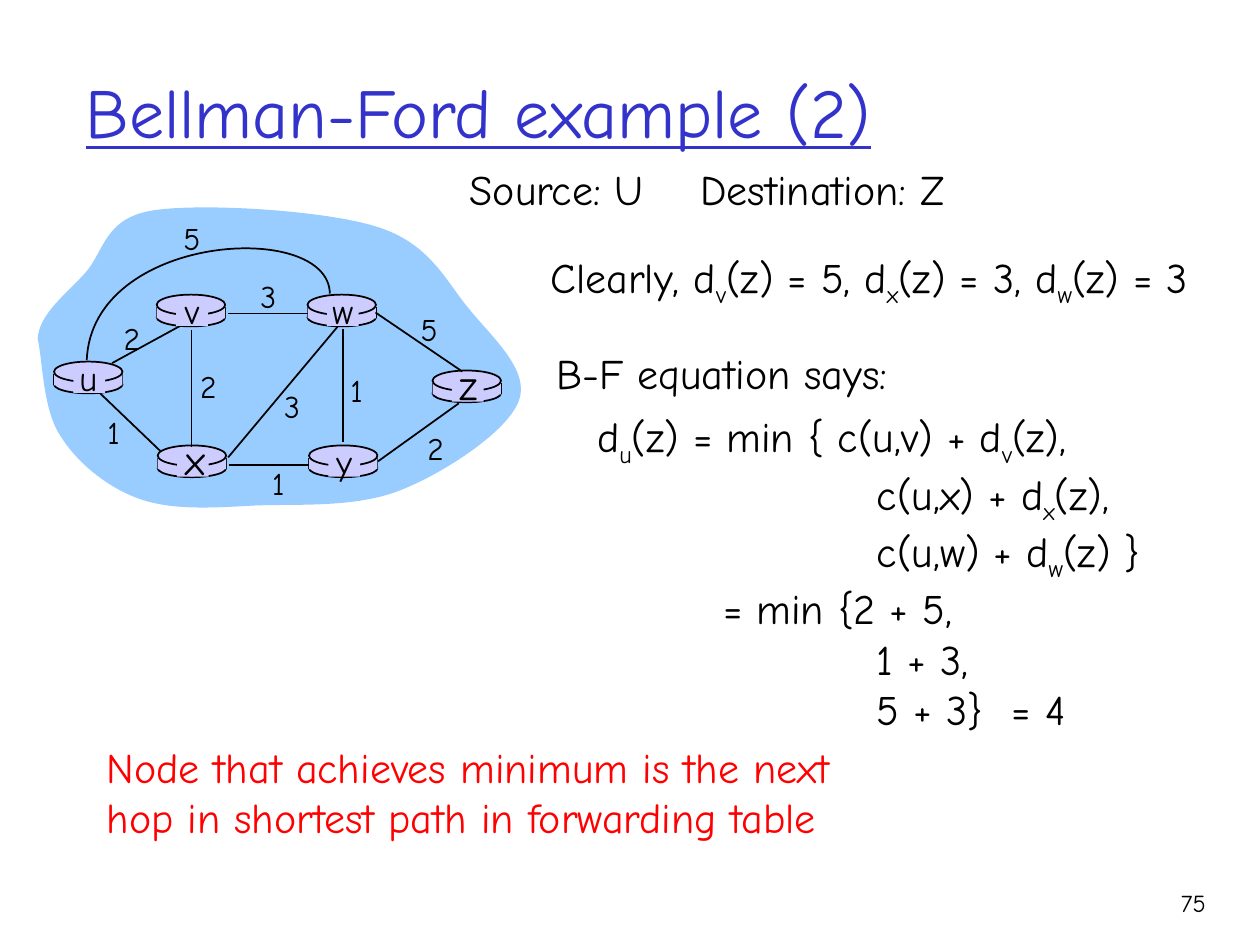
from lxml import etree
from pptx import Presentation
from pptx.dml.color import RGBColor
from pptx.enum.shapes import MSO_CONNECTOR, MSO_SHAPE
from pptx.enum.text import MSO_ANCHOR, MSO_AUTO_SIZE, PP_ALIGN
from pptx.oxml.ns import qn
from pptx.util import Cm, Pt

LEFT, CENTER, RIGHT = PP_ALIGN.LEFT, PP_ALIGN.CENTER, PP_ALIGN.RIGHT
TOP, MIDDLE = MSO_ANCHOR.TOP, MSO_ANCHOR.MIDDLE
GROW, FIXED = MSO_AUTO_SIZE.SHAPE_TO_FIT_TEXT, MSO_AUTO_SIZE.NONE
ELLIPSE, RECT = MSO_SHAPE.OVAL, MSO_SHAPE.RECTANGLE
STRAIGHT = MSO_CONNECTOR.STRAIGHT

FONT = "Comic Neue"
COLORS = {"title": "3333CC", "ink": "000000", "note": "FF0000",
          "cloud": "99CCFF", "router": "CCCCFF"}
MARGINS = {"margin_left": Cm(0.25), "margin_right": Cm(0.25),
           "margin_top": Cm(0.13), "margin_bottom": Cm(0.13)}

# Name: left and top of the router's cap, size of the name (all lengths in cm)
ROUTERS = {"u": (1.09, 7.29, 20), "x": (3.18, 8.98, 24), "v": (3.16, 5.94, 20),
           "w": (6.20, 5.94, 20), "y": (6.23, 8.98, 20), "z": (8.72, 7.47, 24)}
ROUTER_WIDTH = 1.38
# Left and width of each router's name
NAME_SPANS = {"u": (1.35, 0.86), "y": (6.53, 0.81), "x": (3.48, 0.91),
              "w": (6.45, 0.91), "v": (3.48, 0.79), "z": (9.02, 0.86)}

# Ends of each straight link
LINKS = [
    (2.26, 7.32, 3.76, 6.50),   # u-v
    (3.86, 6.65, 3.86, 9.02),   # v-x
    (3.23, 9.09, 2.01, 7.92),   # x-u
    (4.60, 9.22, 6.81, 6.58),   # x-w
    (6.22, 9.37, 4.62, 9.37),   # y-x
    (6.91, 6.63, 6.91, 8.92),   # w-y
    (7.62, 9.30, 9.25, 8.13),   # y-z
    (9.32, 7.49, 7.57, 6.30),   # z-w
    (6.20, 6.32, 4.60, 6.32),   # w-v
]
# Cost of each link, with the left and top of its label
COSTS = [("2", 2.24, 6.30), ("2", 3.78, 7.26), ("1", 1.87, 8.20),
         ("3", 5.47, 7.67), ("1", 5.19, 9.22), ("1", 6.77, 7.34),
         ("2", 8.36, 8.51), ("5", 8.23, 6.12), ("3", 4.99, 5.46),
         ("5", 3.45, 4.29)]

# Bezier outlines: a start point, then two controls and an end per segment
CLOUD = [
    (0.76, 6.83), (0.79, 6.32), (1.35, 5.92), (1.73, 5.49),
    (2.11, 5.05), (2.11, 4.39), (3.10, 4.24),
    (4.09, 4.09), (6.55, 4.24), (7.59, 4.57),
    (8.66, 4.90), (8.97, 5.64), (9.45, 6.22),
    (9.93, 6.81), (10.69, 7.47), (10.46, 8.08),
    (10.24, 8.69), (8.97, 9.53), (8.08, 9.88),
    (7.19, 10.24), (6.02, 10.16), (5.16, 10.19),
    (4.27, 10.24), (3.48, 10.29), (2.82, 10.06),
    (2.16, 9.83), (1.55, 9.32), (1.22, 8.79),
    (0.86, 8.26), (0.86, 7.24), (0.76, 6.83),
]
ARC_U_W = [(6.65, 5.92), (6.63, 4.42), (1.85, 4.70), (1.75, 7.26)]

# Rows of text with their tab stops; "_" lowers the next letter
TERM, RESULT = 5.64, 8.36
EQUATION = [
    ("d_u(z) = min { c(u,v) + d_v(z),", ()),
    ("\tc(u,x) + d_x(z),", (TERM,)),
    ("\tc(u,w) + d_w(z) }", (TERM,)),
    ("\t= min {2 + 5,", (2.54,)),
    ("\t1 + 3,", (TERM,)),
    ("\t5 + 3}\t= 4", (TERM, RESULT)),
]
NOTE = [("Node that achieves minimum is the next", ()),
        ("hop in shortest path in forwarding table", ())]


def color(name):
    return RGBColor.from_string(COLORS[name])


def style(shape, fill=None, outlined=False):
    shape.shadow.inherit = False
    if fill:
        shape.fill.solid()
        shape.fill.fore_color.rgb = color(fill)
    else:
        shape.fill.background()
    if outlined:
        shape.line.color.rgb = color("ink")
        shape.line.width = Pt(1)
    else:
        shape.line.fill.background()


def add_preset(parent, kind, left, top, width, height, outlined=False):
    shape = parent.shapes.add_shape(kind, Cm(left), Cm(top), Cm(width), Cm(height))
    style(shape, "router", outlined)


def add_line(parent, x1, y1, x2, y2):
    line = parent.shapes.add_connector(STRAIGHT, Cm(x1), Cm(y1), Cm(x2), Cm(y2))
    line.line.color.rgb = color("ink")
    line.line.width = Pt(1)
    etree.SubElement(line._element.spPr, qn("a:effectLst"))


def add_curve(parent, points, **look):
    start, *others = [(Cm(x), Cm(y)) for x, y in points]
    builder = parent.shapes.build_freeform(*start)
    builder.add_line_segments(others, close=points[0] == points[-1])
    shape = builder.convert_to_shape()
    # Join every three straight segments into one cubic curve
    segments = list(shape._element.iter(qn("a:lnTo")))
    for i in range(0, len(segments), 3):
        curve = etree.Element(qn("a:cubicBezTo"))
        segments[i].addprevious(curve)
        for segment in segments[i:i + 3]:
            curve.append(segment[0])
            segment.getparent().remove(segment)
    style(shape, **look)


def add_run(paragraph, text, font_format, ink, lowered=False):
    if not text:
        return
    run = paragraph.add_run()
    run.text = text
    for name, value in font_format.items():
        setattr(run.font, name, value)
    run.font.color.rgb = color(ink)
    if lowered:
        run._r.get_or_add_rPr().set("baseline", "-25000")


def add_text(parent, rows, left, top, width, height, size=24, ink="ink",
             align=LEFT, anchor=TOP, wrap=False, underline=None):
    box = parent.shapes.add_textbox(Cm(left), Cm(top), Cm(width), Cm(height))
    frame = box.text_frame
    frame_format = {**MARGINS, "word_wrap": wrap, "vertical_anchor": anchor,
                    "auto_size": FIXED if wrap else GROW}
    for name, value in frame_format.items():
        setattr(frame, name, value)
    font_format = {"name": FONT, "size": Pt(size), "underline": underline}
    if isinstance(rows, str):
        rows = [(rows, ())]
    for i, (text, stops) in enumerate(rows):
        paragraph = frame.add_paragraph() if i else frame.paragraphs[0]
        paragraph.alignment = align
        if stops:
            tabs = etree.SubElement(paragraph._p.get_or_add_pPr(), qn("a:tabLst"))
            for stop in stops:
                etree.SubElement(tabs, qn("a:tab"), pos=str(Cm(stop)), algn="l")
        plain, *lowered = text.split("_")
        add_run(paragraph, plain, font_format, ink)
        for part in lowered:
            add_run(paragraph, part[0], font_format, ink, lowered=True)
            add_run(paragraph, part[1:], font_format, ink)


def add_router(parent, left, top):
    add_preset(parent, ELLIPSE, left, top + 0.28, ROUTER_WIDTH, 0.36, outlined=True)
    for side in (left, left + ROUTER_WIDTH):
        add_line(parent, side, top + 0.25, side, top + 0.48)
    add_preset(parent, RECT, left, top + 0.25, ROUTER_WIDTH, 0.23)
    add_preset(parent, ELLIPSE, left, top, ROUTER_WIDTH, 0.41, outlined=True)


def add_router_name(parent, name, left, top, size):
    add_preset(parent, RECT, left + 0.39, top + 0.05, 0.64, 0.58)
    rise, height = (0.37, 1.27) if size == 24 else (0.23, 1.12)
    name_left, width = NAME_SPANS[name]
    add_text(parent, name, name_left, top - rise, width, height, size, align=CENTER)


def main():
    deck = Presentation()
    deck.slide_width, deck.slide_height = Cm(25.4), Cm(19.05)
    slide = deck.slides.add_slide(deck.slide_layouts[6])

    # Title
    add_text(slide, "Bellman-Ford example (2)", 1.48, 0.64, 21.59, 3.18, 40,
             "title", anchor=MIDDLE, wrap=True, underline=True)

    # Network
    network = slide.shapes.add_group_shape()
    add_curve(network, CLOUD, fill="cloud")
    for left, top, _ in ROUTERS.values():
        add_router(network, left, top)
    for ends in LINKS:
        add_line(network, *ends)
    add_curve(network, ARC_U_W, outlined=True)
    for name, (left, top, size) in ROUTERS.items():
        add_router_name(network, name, left, top, size)
    for cost, left, top in COSTS:
        add_text(network, cost, left, top, 0.84, 1.02, 18, align=CENTER)

    # Derivation
    add_text(slide, "Clearly, d_v(z) = 5, d_x(z) = 3, d_w(z) = 3",
             10.85, 4.94, 13.36, 1.42)
    add_text(slide, EQUATION, 11.79, 8.15, 11.94, 6.78, wrap=True)

    # Conclusion
    add_text(slide, NOTE, 1.9, 14.81, 15.09, 2.29, ink="note")

    # Headings and slide number
    add_text(slide, "B-F equation says:", 10.97, 6.87, 7.19, 1.27)
    add_text(slide, [("Source: U\tDestination: Z", (4.65,))],
             9.22, 3.16, 10.2, 1.27, wrap=True)
    add_text(slide, "75", 22.68, 17.78, 1.88, 1.27, 14, align=RIGHT, wrap=True)

    deck.save("out.pptx")


if __name__ == "__main__":
    main()
